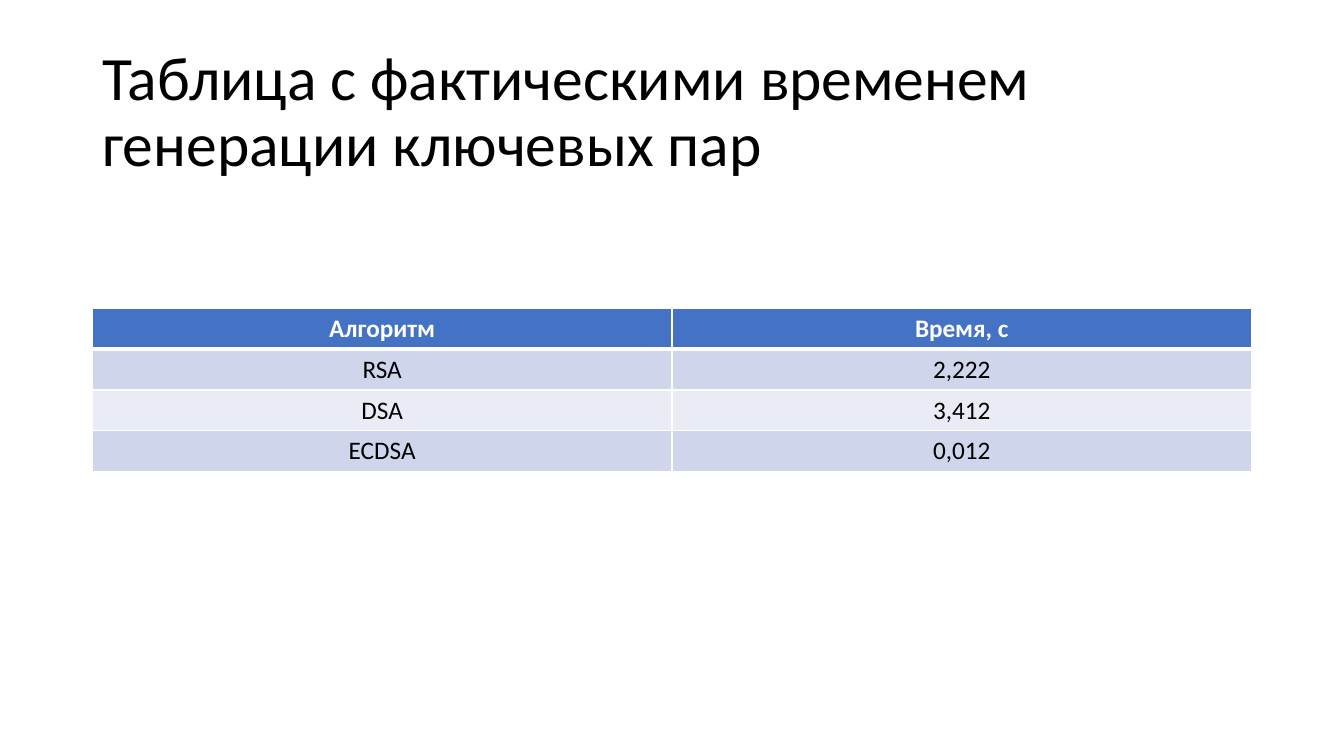
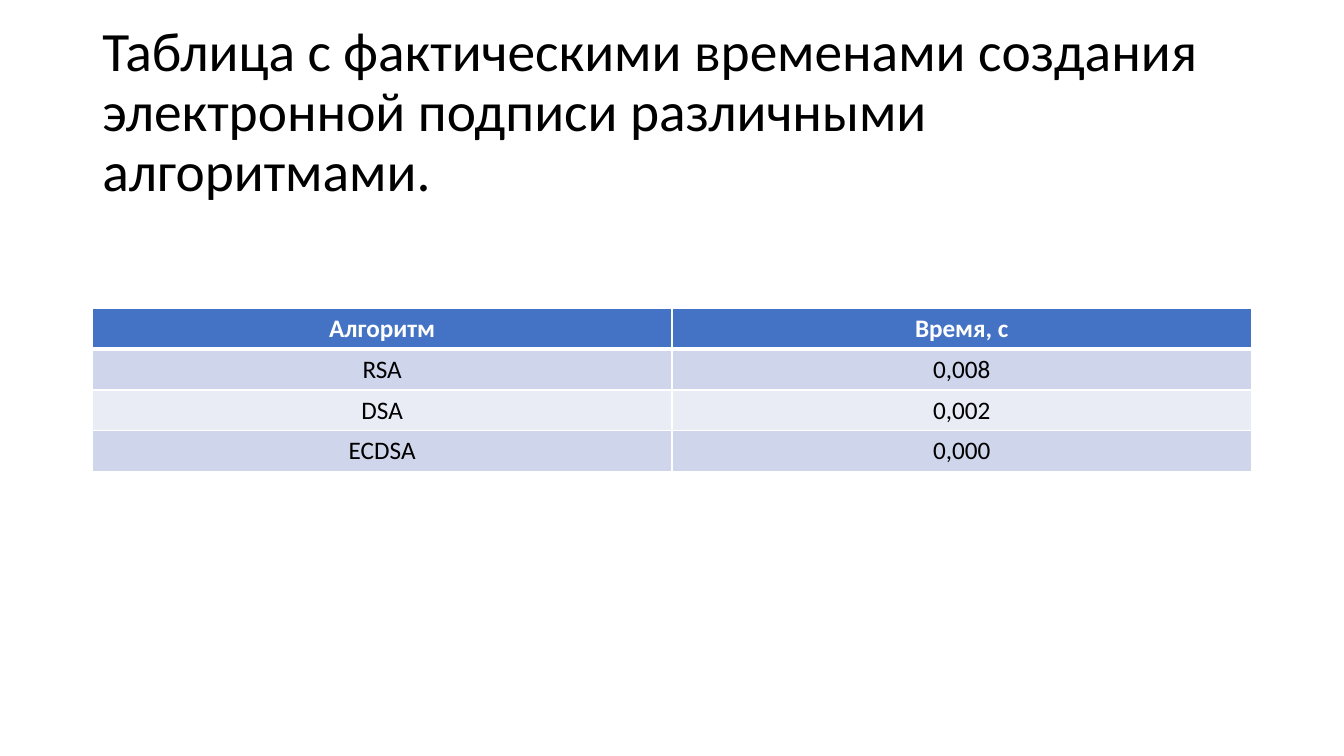
import pptx
import pptx.dml.color
import pptx.enum.text
import pptx.oxml
import pptx.oxml.ns
import pptx.util

Pt = pptx.util.Pt
Color = pptx.dml.color.RGBColor
Align = pptx.enum.text.PP_ALIGN
Anchor = pptx.enum.text.MSO_ANCHOR

# Shared look
FONT = "Calibri"
BLACK = Color(0x00, 0x00, 0x00)
WHITE = Color(0xFF, 0xFF, 0xFF)
BLUE = Color(0x44, 0x72, 0xC4)
BANDS = (Color(0xCF, 0xD5, 0xEA), Color(0xE9, 0xEB, 0xF5))

# Shared grid, in points
LEFT, WIDTH = 66, 828
TITLE_TOP, TITLE_HIGH = 29, 104
TABLE_TOP, ROW_HIGH = 220.2, 29.2
THIN, THICK = 1, 3

HEAD = ("Алгоритм", "Время, с")
NAMES = ("RSA", "DSA", "ECDSA")

# Title, size and times of each slide
SLIDES = (
    ("Таблица с фактическими временем генерации ключевых пар",
     44, ("2,222", "3,412", "0,012")),
    ("Таблица с фактическими временами создания электронной подписи "
     "различными алгоритмами.",
     39.6, ("0,008", "0,002", "0,000")),
)


def add_run(para, text, size, color, bold=False):
    run = para.add_run()
    run.text = text
    font = run.font
    font.name, font.size, font.bold = FONT, Pt(size), bold
    font.color.rgb = color


def add_title(slide, text, size):
    box = slide.shapes.add_textbox(
        Pt(LEFT), Pt(TITLE_TOP), Pt(WIDTH), Pt(TITLE_HIGH))
    frame = box.text_frame
    frame.word_wrap = True
    frame.vertical_anchor = Anchor.MIDDLE
    para = frame.paragraphs[0]
    para.line_spacing = 0.9
    add_run(para, text, size, BLACK)


def set_edges(cell, top, bottom):
    """Draw white borders; they must come before the fill in the cell XML."""
    props = cell._tc.get_or_add_tcPr()
    sides = (("L", THIN), ("R", THIN), ("T", top), ("B", bottom))
    for place, (side, width) in enumerate(sides):
        edge = pptx.oxml.parse_xml(
            f'<a:ln{side} {pptx.oxml.ns.nsdecls("a")} w="{Pt(width)}">'
            f'<a:solidFill><a:srgbClr val="{WHITE}"/></a:solidFill>'
            f'</a:ln{side}>')
        props.insert(place, edge)


def fill_cell(cell, text, row):
    head = row == 0
    cell.fill.solid()
    cell.fill.fore_color.rgb = BLUE if head else BANDS[(row - 1) % 2]
    set_edges(cell, THICK if row == 1 else THIN, THICK if head else THIN)
    para = cell.text_frame.paragraphs[0]
    para.alignment = Align.CENTER
    add_run(para, text, 18, WHITE if head else BLACK, head)


def add_grid(slide, rows):
    table = slide.shapes.add_table(
        len(rows), len(HEAD), Pt(LEFT), Pt(TABLE_TOP),
        Pt(WIDTH), Pt(ROW_HIGH * len(rows))).table
    for row, texts in enumerate(rows):
        for col, text in enumerate(texts):
            fill_cell(table.cell(row, col), text, row)


def main():
    deck = pptx.Presentation()
    deck.slide_width, deck.slide_height = Pt(960), Pt(540)
    for title, size, times in SLIDES:
        slide = deck.slides.add_slide(deck.slide_layouts[6])
        add_title(slide, title, size)
        add_grid(slide, [HEAD, *zip(NAMES, times)])
    deck.save("out.pptx")


if __name__ == "__main__":
    main()
